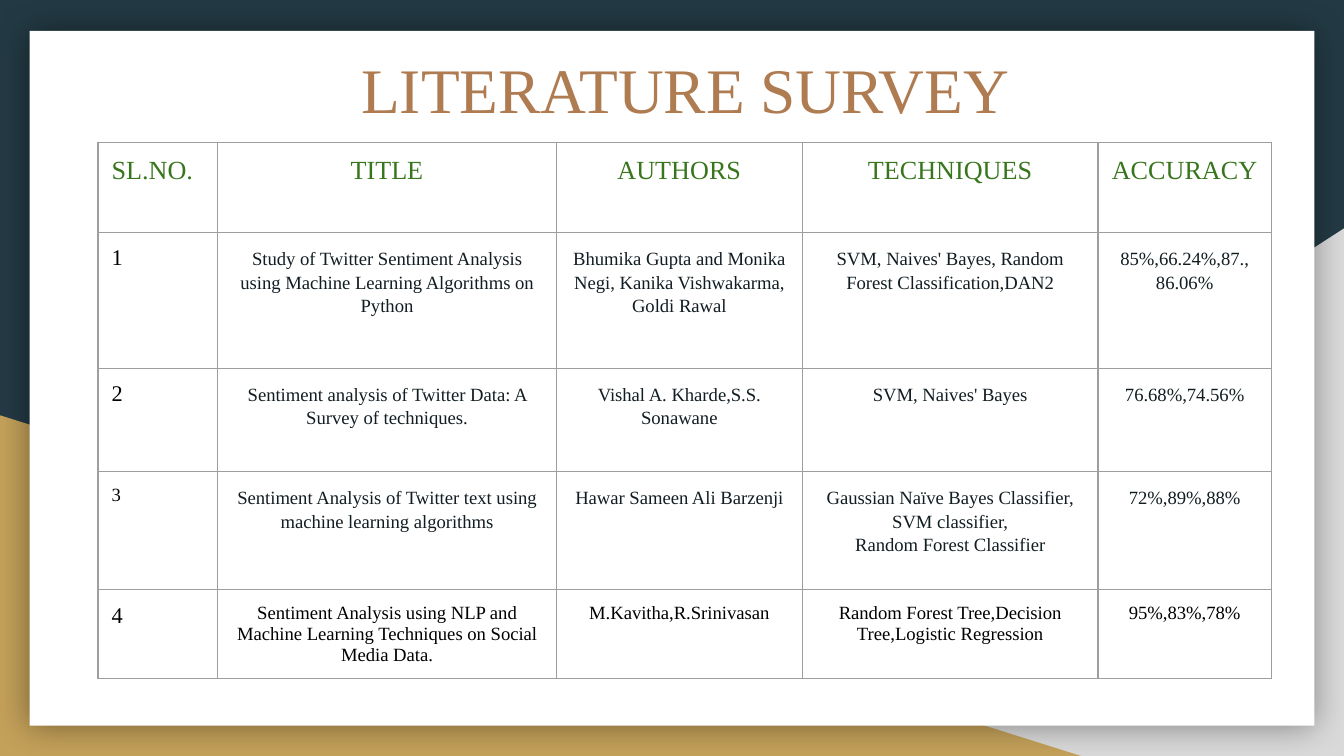
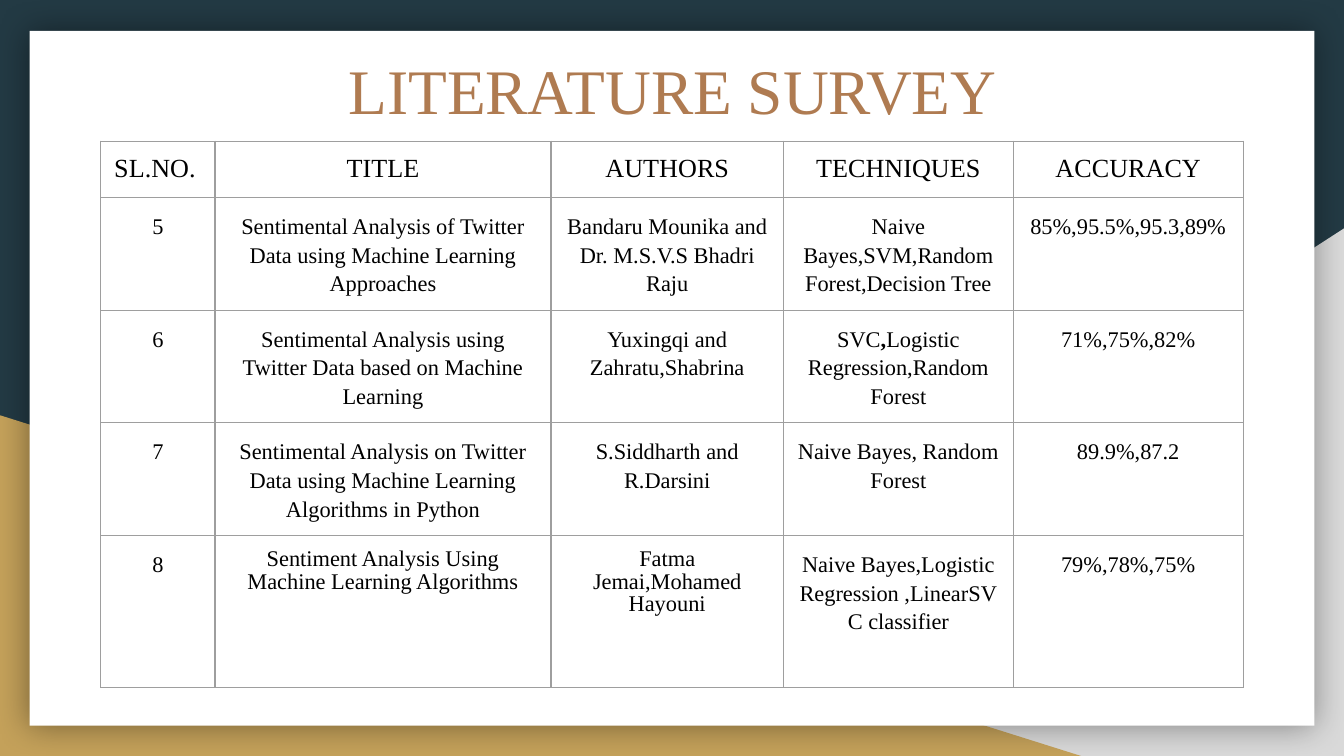
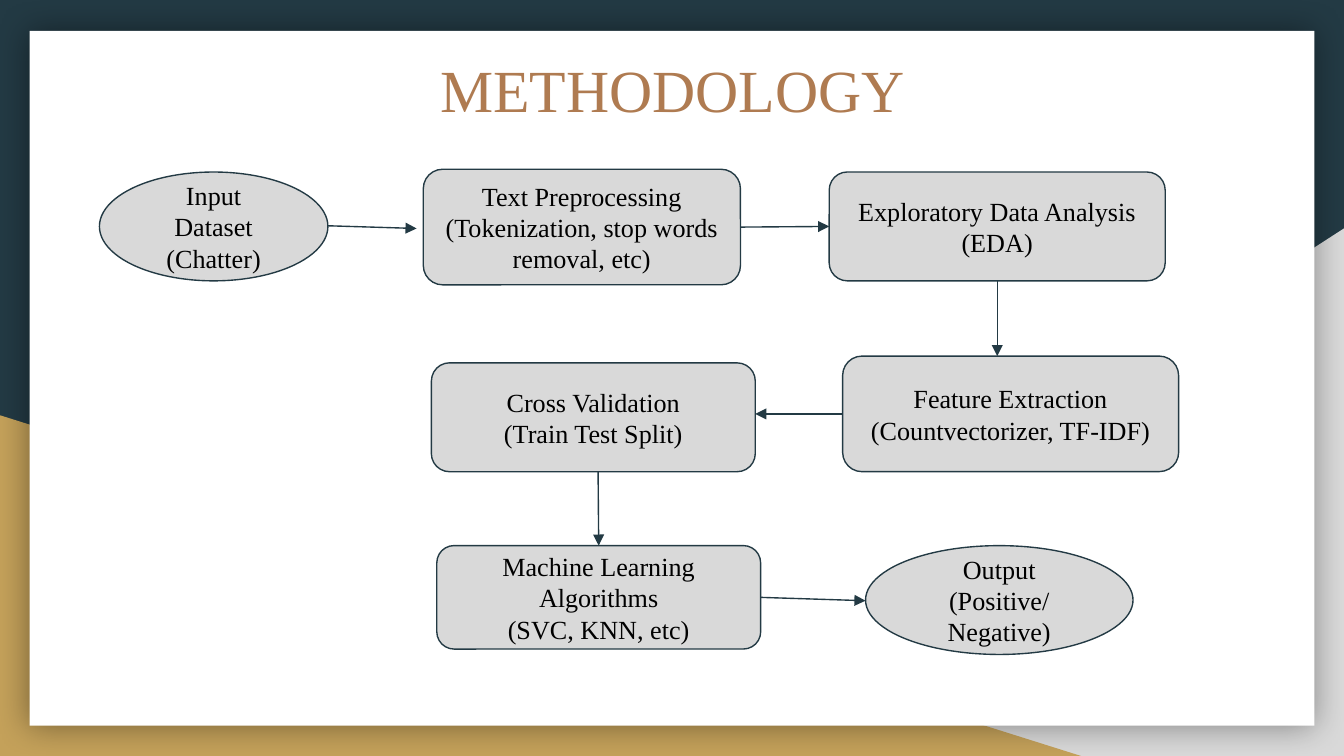
"""Build the literature survey and methodology slides."""
import pptx
import pptx.dml.color
import pptx.enum.shapes
import pptx.enum.text
import pptx.oxml
import pptx.oxml.ns
import pptx.util

Inches = pptx.util.Inches
Pt = pptx.util.Pt
Kind = pptx.enum.shapes.MSO_SHAPE
Align = pptx.enum.text.PP_ALIGN
Anchor = pptx.enum.text.MSO_ANCHOR

FONT = "Times New Roman"
INSET = Inches(0.1)
COLORS = {
    "navy": "233A44", "gray": "D9D9D9", "gold": "C4A15A", "white": "FFFFFF",
    "brown": "AF7B51", "green": "38761D", "ink": "121D22", "black": "000000",
    "rule": "9E9E9E",
}
HEADS = ["SL.NO.", "TITLE", "AUTHORS", "TECHNIQUES", "ACCURACY"]
FIRST = [
    ["1", "Study of Twitter Sentiment Analysis using Machine Learning Algorithms on Python",
     "Bhumika Gupta and Monika Negi, Kanika Vishwakarma, Goldi Rawal",
     "SVM, Naives' Bayes, Random Forest Classification,DAN2", "85%,66.24%,87.,\n86.06%"],
    ["2", "Sentiment analysis of Twitter Data: A Survey of techniques.",
     "Vishal A. Kharde,S.S. Sonawane", "SVM, Naives' Bayes", "76.68%,74.56%"],
    ["3", "Sentiment Analysis of Twitter text using machine learning algorithms",
     "Hawar Sameen Ali Barzenji",
     "Gaussian Naïve Bayes Classifier, SVM classifier,\nRandom Forest Classifier",
     "72%,89%,88%"],
    ["4", "Sentiment Analysis using NLP and Machine Learning Techniques on Social Media Data.",
     "M.Kavitha,R.Srinivasan", "Random Forest Tree,Decision Tree,Logistic Regression",
     "95%,83%,78%"],
]
SECOND = [
    ["5", "Sentimental Analysis of Twitter Data using Machine Learning Approaches",
     "Bandaru Mounika and Dr. M.S.V.S Bhadri Raju",
     "Naive Bayes,SVM,Random Forest,Decision Tree", "85%,95.5%,95.3,89%"],
    ["6", "Sentimental Analysis using Twitter Data based on Machine Learning",
     "Yuxingqi and Zahratu,Shabrina", "SVC*,*Logistic Regression,Random Forest",
     "71%,75%,82%"],
    ["7", "Sentimental Analysis on Twitter Data using Machine Learning Algorithms in Python",
     "S.Siddharth and R.Darsini", "Naive Bayes, Random Forest", "89.9%,87.2"],
    ["8", "Sentiment Analysis Using Machine Learning Algorithms",
     "Fatma Jemai,Mohamed Hayouni",
     "Naive Bayes,Logistic Regression ,LinearSVC classifier", "79%,78%,75%"],
]
NODES = {
    "input": (Kind.OVAL, (0, 0.02, 1.7, 0.81), "Input Dataset\n(Chatter)"),
    "clean": (Kind.ROUNDED_RECTANGLE, (2.41, 0, 2.36, 0.86),
              "Text Preprocessing\n(Tokenization, stop words removal, etc)"),
    "explore": (Kind.ROUNDED_RECTANGLE, (5.43, 0.02, 2.5, 0.81),
                "Exploratory Data Analysis\n(EDA)"),
    "extract": (Kind.ROUNDED_RECTANGLE, (5.53, 1.39, 2.5, 0.86),
                "Feature Extraction\n(Countvectorizer, TF-IDF)"),
    "split": (Kind.ROUNDED_RECTANGLE, (2.47, 1.44, 2.41, 0.81),
              "Cross Validation\n(Train Test Split)"),
    "learn": (Kind.ROUNDED_RECTANGLE, (2.51, 2.8, 2.41, 0.77),
              "Machine Learning Algorithms\n(SVC, KNN, etc)"),
    "output": (Kind.OVAL, (5.7, 2.8, 1.99, 0.81), "Output\n(Positive/Negative)"),
}
LINKS = [
    ((1.7, 0.42), (2.36, 0.44)),
    (("clean", 3), ("explore", 1)),
    (("explore", 2), (6.68, 1.39)),
    (("extract", 1), (4.88, 1.82)),
    ((3.71, 2.25), ("learn", 0)),
    (("learn", 3), (5.7, 3.21)),
]


def rgb(name):
    """Return a named colour."""
    return pptx.dml.color.RGBColor.from_string(COLORS[name])


def xml(text):
    """Parse a DrawingML fragment."""
    space = pptx.oxml.ns.nsdecls("a")
    return pptx.oxml.parse_xml(text.replace("@", space, 1))


def style(frame, size, color, align=Align.CENTER, space=1.0):
    """Format all the text of a frame, with starred pieces in bold."""
    frame.word_wrap = True
    for para in frame.paragraphs:
        para.alignment = align
        para.line_spacing = space
        pieces = para.text.split("*")
        para.text = pieces[0]
        for i, piece in enumerate(pieces[1:], 1):
            run = para.add_run()
            run.text = piece
            run.font.bold = i % 2 == 1
        for run in para.runs:
            run.font.size = Pt(size)
            run.font.name = FONT
            run.font.color.rgb = rgb(color)


def pad(frame):
    """Set equal insets on a text frame."""
    frame.margin_left = frame.margin_right = INSET
    frame.margin_top = frame.margin_bottom = INSET


def block(slide, kind, box, fill, line=None):
    """Add a filled preset shape."""
    shape = slide.shapes.add_shape(kind, *map(Inches, box))
    shape.shadow.inherit = False
    shape.fill.solid()
    shape.fill.fore_color.rgb = rgb(fill)
    if line:
        shape.line.color.rgb = rgb(line)
        shape.line.width = Pt(0.75)
    else:
        shape.line.fill.background()
    return shape


def backdrop(slide):
    """Put the background, triangles and white card on the slide's layout."""
    layout = slide.slide_layout
    layout.background.fill.solid()
    layout.background.fill.fore_color.rgb = rgb("navy")
    right = block(slide, Kind.RIGHT_TRIANGLE, (3.92, 1.7, 6.08, 3.93), "gray")
    right.element.spPr.xfrm.set("flipH", "1")
    left = block(slide, Kind.RIGHT_TRIANGLE, (0, 3.09, 8.06, 2.54), "gold")
    card = block(slide, Kind.RECTANGLE, (0.22, 0.23, 9.56, 5.17), "white")
    glow = card.element.spPr.find(pptx.oxml.ns.qn("a:effectLst"))
    glow.append(xml(
        f'<a:outerShdw @ blurRad="{Pt(18)}" dist="0" dir="0" algn="ctr" rotWithShape="0">'
        f'<a:srgbClr val="{COLORS["black"]}"><a:alpha val="40000"/></a:srgbClr></a:outerShdw>'))
    for i, shape in enumerate((right, left, card), 2):
        layout.shapes.element.insert(i, shape.element)


def head(slide, box, text, size):
    """Place and format the title."""
    title = slide.shapes.title
    title.left, title.top, title.width, title.height = map(Inches, box)
    frame = title.text_frame
    frame.text = text
    frame.vertical_anchor = Anchor.TOP
    frame.auto_size = pptx.enum.text.MSO_AUTO_SIZE.NONE
    pad(frame)
    style(frame, size, "brown")


def edge(cell):
    """Draw thin rules around a cell without fill."""
    cell.fill.background()
    props = cell._tc.get_or_add_tcPr()
    for i, side in enumerate("LRTB"):
        props.insert(i, xml(
            f'<a:ln{side} @ w="{Pt(0.75)}"><a:solidFill>'
            f'<a:srgbClr val="{COLORS["rule"]}"/></a:solidFill></a:ln{side}>'))


def survey(slide, spot, widths, heights, rows, look):
    """Add a survey table; look gives the text style for each row and column."""
    box = (*spot, sum(widths), sum(heights))
    frame = slide.shapes.add_table(len(heights), len(widths), *map(Inches, box))
    table = frame.table
    table.first_row = table.horz_banding = False
    for col, width in zip(table.columns, widths):
        col.width = Inches(width)
    for row, height in zip(table.rows, heights):
        row.height = Inches(height)
    for r, row in enumerate([HEADS] + rows):
        for c, text in enumerate(row):
            cell = table.cell(r, c)
            pad(cell)
            edge(cell)
            cell.text_frame.text = text
            style(cell.text_frame, *look(r, c))


def early(row, col):
    """Return the text style for papers 1 to 4."""
    align = Align.CENTER if col else Align.LEFT
    if row == 0:
        return 14, "green", align
    if col == 0:
        return 10 if row == 3 else 12, "black", align
    return (10, "black", align) if row == 4 else (10, "ink", align, 1.15)


def late(row, col):
    """Return the text style for papers 5 to 8."""
    if row == 0:
        return 14, "black", Align.CENTER if col else Align.LEFT
    tight = row == 4 and col in (1, 2)
    return 12, "black", Align.CENTER, 0.9 if tight else 1.15


def flow(slide, spot):
    """Draw the steps and arrows from the given corner."""
    left, top = spot
    nodes = {}
    for name, (kind, (x, y, w, h), text) in NODES.items():
        node = block(slide, kind, (left + x, top + y, w, h), "gray", "navy")
        frame = node.text_frame
        frame.text = text
        frame.vertical_anchor = Anchor.MIDDLE
        pad(frame)
        style(frame, 14, "black")
        nodes[name] = node
    for ends in LINKS:
        points = [(0, 0) if end[0] in nodes else (left + end[0], top + end[1]) for end in ends]
        line = slide.shapes.add_connector(
            pptx.enum.shapes.MSO_CONNECTOR.STRAIGHT, *map(Inches, points[0] + points[1]))
        for end, join in zip(ends, (line.begin_connect, line.end_connect)):
            if end[0] in nodes:
                join(nodes[end[0]], end[1])
        line.line.color.rgb = rgb("navy")
        line.line.width = Pt(0.75)
        line.line._get_or_add_ln().append(xml('<a:tailEnd @ type="triangle"/>'))
        line.element.spPr.append(xml("<a:effectLst @/>"))


def main():
    """Build and save the deck."""
    deck = pptx.Presentation()
    deck.slide_width = Inches(10)
    deck.slide_height = deck.slide_width * 9 // 16
    one, two, three = (deck.slides.add_slide(deck.slide_layouts[5]) for _ in range(3))
    backdrop(one)
    head(one, (0.73, 0.27, 8.74, 0.64), "LITERATURE SURVEY", 34)
    survey(one, (0.73, 1.06), (0.89, 2.52, 1.83, 2.2, 1.29),
           (0.67, 1.01, 0.77, 0.88, 0.66), FIRST, early)
    head(two, (0.9, 0.28, 8.21, 0.69), "LITERATURE SURVEY", 34)
    survey(two, (0.75, 1.05), (0.85, 2.5, 1.73, 1.71, 1.71),
           (0.42, 0.83, 0.83, 0.83, 1.13), SECOND, late)
    head(three, (0.9, 0.29, 8.21, 0.81), "METHODOLOGY", 32)
    flow(three, (0.74, 1.26))
    deck.save("out.pptx")


if __name__ == "__main__":
    main()
